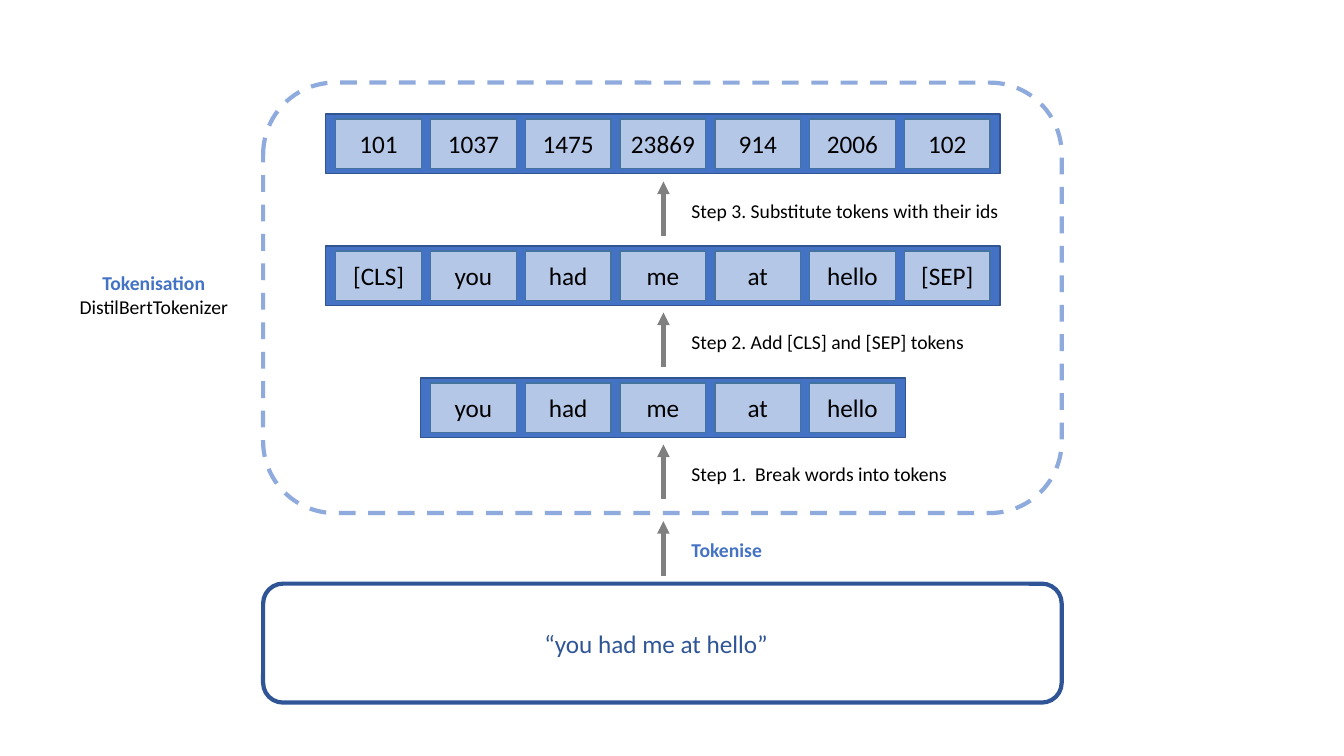
from lxml import etree
from pptx import Presentation
from pptx.dml.color import RGBColor
from pptx.enum.dml import MSO_LINE
from pptx.enum.shapes import MSO_CONNECTOR, MSO_SHAPE
from pptx.enum.text import MSO_ANCHOR, MSO_AUTO_SIZE, PP_ALIGN
from pptx.oxml.ns import qn
from pptx.util import Inches, Pt

RECT, ROUND = MSO_SHAPE.RECTANGLE, MSO_SHAPE.ROUNDED_RECTANGLE
STRAIGHT, DASH = MSO_CONNECTOR.STRAIGHT, MSO_LINE.DASH
LEFT, CENTER = PP_ALIGN.LEFT, PP_ALIGN.CENTER
MIDDLE, GROW = MSO_ANCHOR.MIDDLE, MSO_AUTO_SIZE.SHAPE_TO_FIT_TEXT

FONT = "Calibri"
BLUE, NAVY, BLACK = "4472C4", "2F5597", "000000"
COL_X, COL_STEP, CELL_W, CELL_H = 3.33, 0.94, 0.85, 0.49
ROW_Y, ROW_STEP, PAD_X, PAD_Y = 1.13, 1.31, 0.1, 0.05
PANEL_X, PANEL_W = 2.61, 7.92
ARROW_X, ARROW_H, LABEL_X = 6.58, 0.54, 6.76

WORDS = ["you", "had", "me", "at", "hello"]
TOKEN_ROWS = [
    (0, ["101", "1037", "1475", "23869", "914", "2006", "102"]),
    (0, ["[CLS]", *WORDS, "[SEP]"]),
    (1, WORDS),
]
STEPS = [
    (1.8, 3.28, "Step 3. Substitute tokens with their ids"),
    (3.1, 2.92, "Step 2. Add [CLS] and [SEP] tokens"),
    (4.41, 2.76, "Step 1.  Break words into tokens"),
]


def rgb(color):
    return RGBColor.from_string(color)


def write(p, text, size=14, color=BLACK, bold=False, align=LEFT):
    p.alignment = align
    r = p.add_run()
    r.text = text
    r.font.name = FONT
    r.font.size = Pt(size)
    r.font.bold = bold
    r.font.color.rgb = rgb(color)


def box(s, kind, x, y, w, h, line, width, fill=None):
    sp = s.shapes.add_shape(kind, Inches(x), Inches(y), Inches(w), Inches(h))
    sp.shadow.inherit = False
    if fill:
        sp.fill.solid()
        sp.fill.fore_color.rgb = rgb(fill)
    else:
        sp.fill.background()
    sp.line.color.rgb = rgb(line)
    sp.line.width = Pt(width)
    return sp


def label(s, x, y, w, h):
    sp = s.shapes.add_textbox(Inches(x), Inches(y), Inches(w), Inches(h))
    tf = sp.text_frame
    tf.word_wrap = False
    tf.auto_size = GROW
    return tf


def arrow_up(s, top):
    sp = s.shapes.add_connector(
        STRAIGHT, Inches(ARROW_X), Inches(top + ARROW_H), Inches(ARROW_X), Inches(top))
    sp.line.color.rgb = rgb("808080")
    sp.line.width = Pt(3)
    etree.SubElement(sp.line._get_or_add_ln(), qn("a:tailEnd"), type="triangle")
    etree.SubElement(sp._element.spPr, qn("a:effectLst"))


def step(s, top, width, text, **style):
    arrow_up(s, top)
    tf = label(s, LABEL_X, top + 0.12, width, 0.34)
    write(tf.paragraphs[0], text, **style)


def token_row(s, row, first_col, tokens):
    x = COL_X + first_col * COL_STEP
    y = ROW_Y + row * ROW_STEP
    tray_w = (len(tokens) - 1) * COL_STEP + CELL_W + 2 * PAD_X
    box(s, RECT, x - PAD_X, y, tray_w, CELL_H + 2 * PAD_Y, "325491", 1, BLUE)
    for i, token in enumerate(tokens):
        sp = box(s, RECT, x + i * COL_STEP, y + PAD_Y, CELL_W, CELL_H,
                 "43739E", 1, "B4C7E7")
        tf = sp.text_frame
        tf.vertical_anchor = MIDDLE
        write(tf.paragraphs[0], token, size=18, align=CENTER)


def main():
    prs = Presentation()
    prs.slide_width, prs.slide_height = Inches(13.33), Inches(7.5)
    s = prs.slides.add_slide(prs.slide_layouts[6])

    box(s, ROUND, PANEL_X, 5.79, PANEL_W, 1.18, NAVY, 3)
    tokeniser = box(s, ROUND, PANEL_X, 0.82, PANEL_W, 4.27, "8FAADC", 3)
    tokeniser.line.dash_style = DASH
    sentence = label(s, 5.3, 6.18, 2.45, 0.4)
    write(sentence.paragraphs[0], "“you had me at hello”", size=18, color=NAVY)

    for row, (first_col, tokens) in enumerate(TOKEN_ROWS):
        token_row(s, row, first_col, tokens)
    for top, width, text in STEPS:
        step(s, top, width, text)
    step(s, 5.17, 0.91, "Tokenise", color=BLUE, bold=True)

    tf = label(s, 0.68, 2.64, 1.69, 0.57)
    write(tf.paragraphs[0], "Tokenisation", color=BLUE, bold=True, align=CENTER)
    write(tf.add_paragraph(), "DistilBertTokenizer", align=CENTER)

    prs.save("out.pptx")


main()
